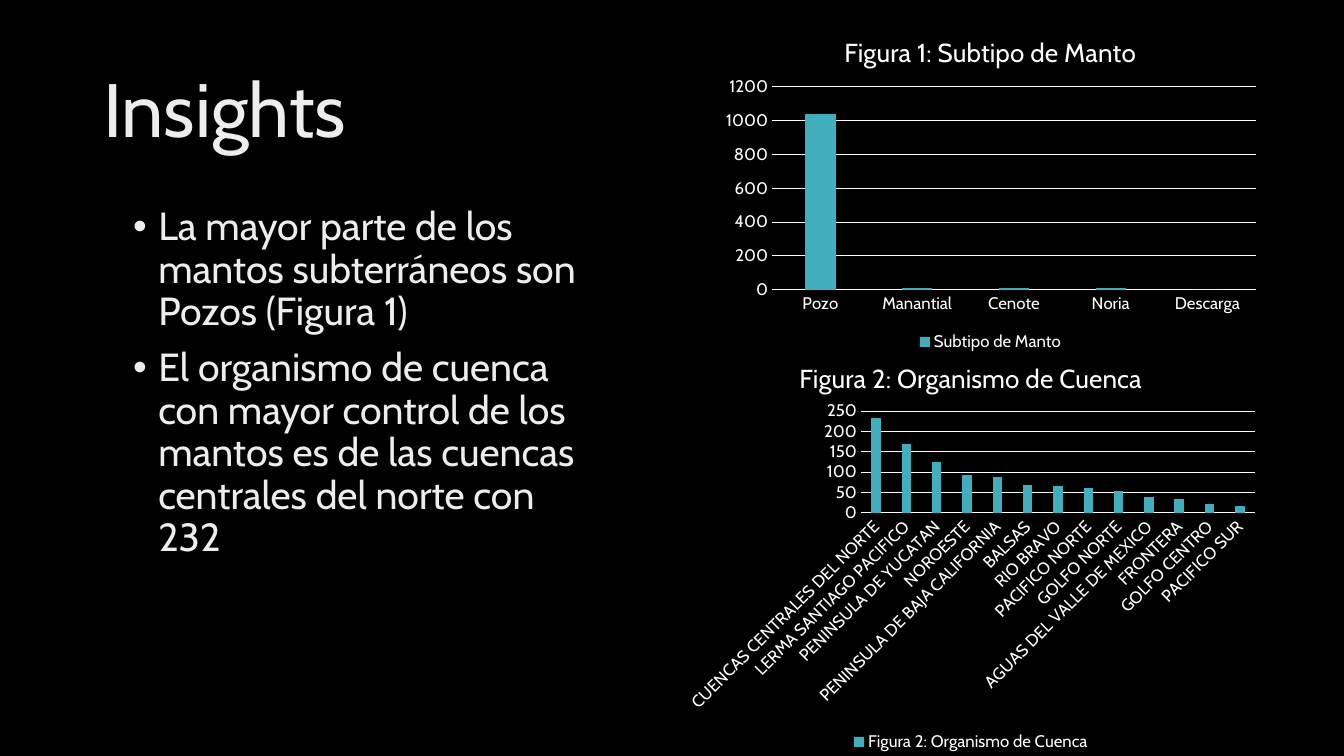
from lxml import etree
from pptx import Presentation
from pptx.chart.data import CategoryChartData
from pptx.dml.color import RGBColor
from pptx.enum.chart import XL_CHART_TYPE, XL_LEGEND_POSITION, XL_TICK_MARK
from pptx.enum.text import MSO_ANCHOR, MSO_AUTO_SIZE, PP_ALIGN
from pptx.oxml import parse_xml
from pptx.oxml.ns import nsdecls, qn
from pptx.util import Pt

PX = 914400 / 100.8
FONT = "Cabin"
WHITE, SILVER, TEAL = "FFFFFF", "EDEDED", "41AEBD"


def px(*lengths):
    return [round(length * PX) for length in lengths]


def write(paragraph, text, size, color, bullet=False, **layout):
    if bullet:
        props = paragraph._p.get_or_add_pPr()
        props.set("marL", "228600")
        props.set("indent", "-228600")
        etree.SubElement(props, qn("a:buFont")).set("typeface", "Arial")
        etree.SubElement(props, qn("a:buChar")).set("char", "•")
    for name, value in layout.items():
        setattr(paragraph, name, value)
    run = paragraph.add_run()
    run.text = text
    run.font.name = FONT
    run.font.size = Pt(size)
    run.font.bold = False
    run.font.color.rgb = RGBColor.from_string(color)


presentation = Presentation()
presentation.slide_width, presentation.slide_height = px(1344, 756)
slide = presentation.slides.add_slide(presentation.slide_layouts[1])
slide.background.fill.solid()
slide.background.fill.fore_color.rgb = RGBColor.from_string("000000")

heading = slide.shapes.title
findings = slide.placeholders[1]
for holder, box, anchor in [
    (heading, (93, 40, 1159, 146), MSO_ANCHOR.MIDDLE),
    (findings, (123, 202, 482, 479), MSO_ANCHOR.TOP),
]:
    holder.left, holder.top, holder.width, holder.height = px(*box)
    holder.text_frame.word_wrap = True
    holder.text_frame.auto_size = MSO_AUTO_SIZE.NONE
    holder.text_frame.vertical_anchor = anchor

write(heading.text_frame.paragraphs[0], "Insights", 54, SILVER,
      alignment=PP_ALIGN.LEFT, line_spacing=0.9)
insights = [
    "La mayor parte de los mantos subterráneos son Pozos (Figura 1)",
    "El organismo de cuenca con mayor control de los mantos es de las cuencas "
    "centrales del norte con 232",
]
for order, insight in enumerate(insights):
    frame = findings.text_frame
    paragraph = frame.add_paragraph() if order else frame.paragraphs[0]
    write(paragraph, insight, 28, SILVER, bullet=True, line_spacing=0.9,
          space_before=Pt(10 if order else 0))

subtypes = {"Pozo": 1040, "Manantial": 10, "Cenote": 10, "Noria": 10, "Descarga": 0}
basins = {
    "CUENCAS CENTRALES DEL NORTE": 232,
    "LERMA SANTIAGO PACIFICO": 170,
    "PENINSULA DE YUCATAN": 125,
    "NOROESTE": 94,
    "PENINSULA DE BAJA CALIFORNIA": 89,
    "BALSAS": 69,
    "RIO BRAVO": 65,
    "PACIFICO NORTE": 62,
    "GOLFO NORTE": 53,
    "AGUAS DEL VALLE DE MEXICO": 38,
    "FRONTERA": 34,
    "GOLFO CENTRO": 21,
    "PACIFICO SUR": 16,
}
figures = [
    ("Figura 1: Subtipo de Manto", "Subtipo de Manto", subtypes,
     (714, 17, 553, 339), (772, 87, 484, 203), 1200, 200, 0),
    ("Figura 2: Organismo de Cuenca", "Figura 2: Organismo de Cuenca", basins,
     (675, 342, 592, 414), (861, 411, 394, 102), 250, 50, -45),
]
for title, series_name, counts, box, plot_box, top_value, step, angle in figures:
    data = CategoryChartData()
    data.categories = list(counts)
    data.add_series(series_name, list(counts.values()))
    chart = slide.shapes.add_chart(
        XL_CHART_TYPE.COLUMN_CLUSTERED, *px(*box), data).chart
    chart.font.name = FONT
    chart.font.size = Pt(12)
    chart.font.color.rgb = RGBColor.from_string(WHITE)

    chart.has_title = True
    write(chart.chart_title.text_frame.paragraphs[0], title, 18.6, WHITE)
    chart.has_legend = True
    chart.legend.position = XL_LEGEND_POSITION.BOTTOM
    chart.legend.include_in_layout = False

    columns = chart.plots[0]
    columns.gap_width = 219
    columns.overlap = -27
    columns.vary_by_categories = False
    columns.series[0].format.fill.solid()
    columns.series[0].format.fill.fore_color.rgb = RGBColor.from_string(TEAL)

    names, values = chart.category_axis, chart.value_axis
    values.minimum_scale = 0
    values.maximum_scale = top_value
    values.major_unit = step
    values.format.line.fill.background()
    for axis in (names, values):
        axis.major_tick_mark = axis.minor_tick_mark = XL_TICK_MARK.NONE
        axis.tick_labels.font.size = Pt(12)
    for line in (names.format.line, values.major_gridlines.format.line):
        line.color.rgb = RGBColor.from_string(WHITE)
        line.width = Pt(0.75)
    label_body = names._element.find(qn("c:txPr")).find(qn("a:bodyPr"))
    label_body.set("rot", str(angle * 60000))
    label_body.set("vert", "horz")

    left, top, width, height = box
    plot_left, plot_top, plot_width, plot_height = plot_box
    shares = {
        "x": (plot_left - left) / width,
        "y": (plot_top - top) / height,
        "w": plot_width / width,
        "h": plot_height / height,
    }
    edges = "".join(f'<c:{side}Mode val="edge"/>' for side in "xy")
    extents = "".join(f'<c:{side} val="{share:.3f}"/>' for side, share in shares.items())
    area = chart._chartSpace.chart.plotArea
    for old_layout in area.findall(qn("c:layout")):
        area.remove(old_layout)
    area.insert(0, parse_xml(
        f'<c:layout {nsdecls("c")}><c:manualLayout><c:layoutTarget val="inner"/>'
        f'{edges}{extents}</c:manualLayout></c:layout>'))

presentation.save("out.pptx")
